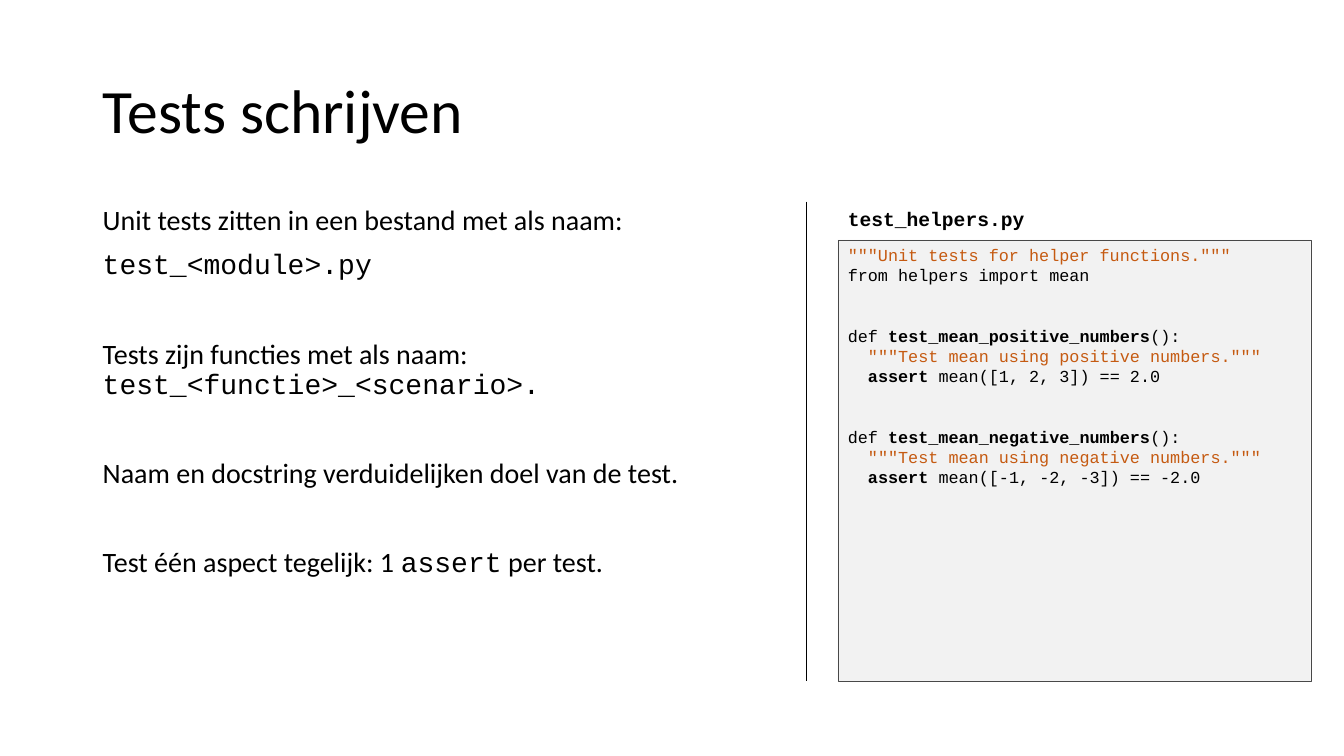
from pptx import Presentation, util as u
from pptx.dml.color import RGBColor
from pptx.enum import shapes, text
from lxml import etree

BLACK = RGBColor(0, 0, 0)
GREY = RGBColor(0xF2, 0xF2, 0xF2)
EDGE = RGBColor(0x48, 0x48, 0x48)
RUST = RGBColor(0xC5, 0x5A, 0x11)
SANS, MONO = "Calibri", "Courier New"

# Grid in inches: shared edges of the columns and rows
LEFT, RULE, CODE = 0.92, 8, 8.31
TOP, PANEL, END = 2, 2.38, 6.76
WIDE = 4.69

# Each line: space before, then runs of (text, style)
BODY = [
    (0, [("Unit tests zitten in een bestand met als naam:", "sans")]),
    (10, [("test_<module>.py", "mono")]),
    (42, [("Tests zijn functies met als naam: ", "sans"),
          ("test_<functie>_<scenario>.", "mono")]),
    (42, [("Naam en docstring verduidelijken doel van de test.", "sans")]),
    (42, [("Test één aspect tegelijk: 1 ", "sans"), ("assert", "mono"),
          (" per test.", "sans")]),
]
CASES = [("positive", "[1, 2, 3]", "2.0"), ("negative", "[-1, -2, -3]", "-2.0")]

# Style: font, bold, colour
STYLES = {
    "sans": (SANS, False, BLACK),
    "mono": (MONO, False, BLACK),
    "bold": (MONO, True, BLACK),
    "doc": (MONO, False, RUST),
}


def place(shape, x, y, w, h):
    shape.left, shape.top = u.Inches(x), u.Inches(y)
    shape.width, shape.height = u.Inches(w), u.Inches(h)


def add_run(para, words, style, size):
    run = para.add_run()
    run.text = words
    font = run.font
    font.name, font.bold, font.color.rgb = STYLES[style]
    font.size = u.Pt(size)


def add_text(slide, box, lines, size, pitch=1.0):
    frame = slide.shapes.add_textbox(*map(u.Inches, box)).text_frame
    frame.word_wrap = True
    for i, (gap, runs) in enumerate(lines):
        para = frame.add_paragraph() if i else frame.paragraphs[0]
        para.line_spacing = pitch
        para.space_before = u.Pt(gap)
        for words, style in runs:
            add_run(para, words, style, size)


def add_title(slide, words):
    title = slide.shapes.title
    place(title, LEFT, 0.4, 11.5, 1.45)
    frame = title.text_frame
    frame.word_wrap = True
    frame.vertical_anchor = text.MSO_ANCHOR.MIDDLE
    para = frame.paragraphs[0]
    para.alignment = text.PP_ALIGN.LEFT
    para.line_spacing = 0.9
    add_run(para, words, "sans", 44)


def add_panel(slide, box):
    panel = slide.shapes.add_shape(
        shapes.MSO_SHAPE.RECTANGLE, *map(u.Inches, box))
    panel.shadow.inherit = False
    panel.fill.solid()
    panel.fill.fore_color.rgb = GREY
    panel.line.color.rgb = EDGE
    panel.line.width = u.Pt(0.25)


def add_rule(slide, x, top, end):
    rule = slide.shapes.add_connector(
        shapes.MSO_CONNECTOR.STRAIGHT, *map(u.Inches, (x, top, x, end)))
    rule.line.color.rgb = BLACK
    rule.line.width = u.Pt(1)
    props = rule.line._get_or_add_ln().getparent()
    space = "http://schemas.openxmlformats.org/drawingml/2006/main"
    etree.SubElement(props, f"{{{space}}}effectLst")


def code_lines():
    lines = [
        (0, [('"""Unit tests for helper functions."""', "doc")]),
        (0, [("from helpers import mean", "mono")]),
    ]
    for kind, values, mean in CASES:
        lines += [
            (29, [("def ", "mono"), (f"test_mean_{kind}_numbers", "bold"),
                  ("():", "mono")]),
            (0, [("  ", "mono"),
                 (f'"""Test mean using {kind} numbers."""', "doc")]),
            (0, [("  ", "mono"), ("assert", "bold"),
                 (f" mean({values}) == {mean}", "mono")]),
        ]
    return lines


def main():
    deck = Presentation()
    deck.slide_width, deck.slide_height = u.Inches(13.33), u.Inches(7.5)
    slide = deck.slides.add_slide(deck.slide_layouts[5])

    # Title and explanation
    add_title(slide, "Tests schrijven")
    add_text(slide, (LEFT, TOP, 6.85, END - TOP), BODY, 20, 0.9)

    # Code example beside the rule
    add_rule(slide, RULE, TOP, END)
    area = (CODE, PANEL, WIDE, END - PANEL)
    add_panel(slide, area)
    add_text(slide, area, code_lines(), 12)
    add_text(slide, (CODE, TOP, WIDE, 0.34),
             [(0, [("test_helpers.py", "bold")])], 14)

    deck.save("out.pptx")


if __name__ == "__main__":
    main()
